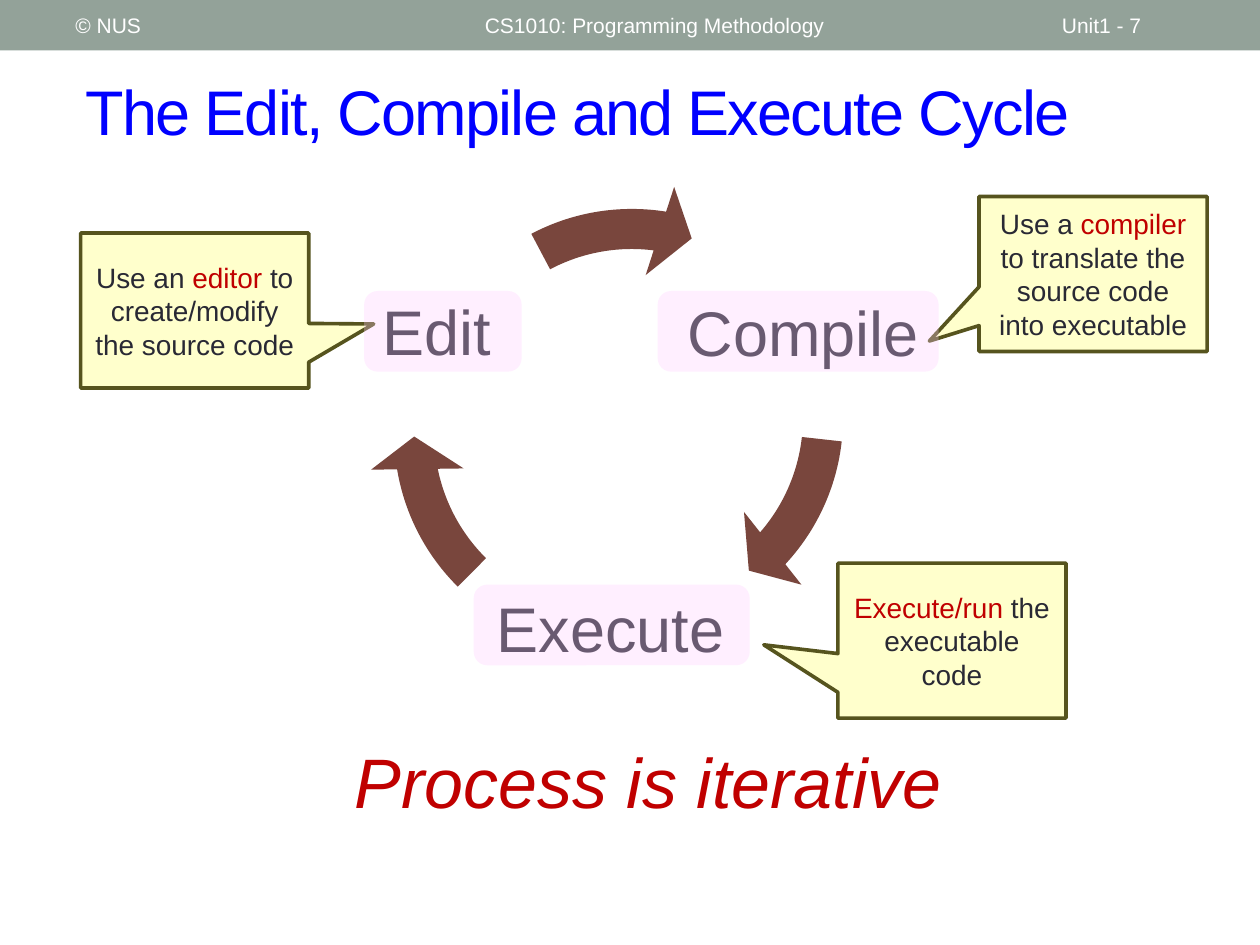
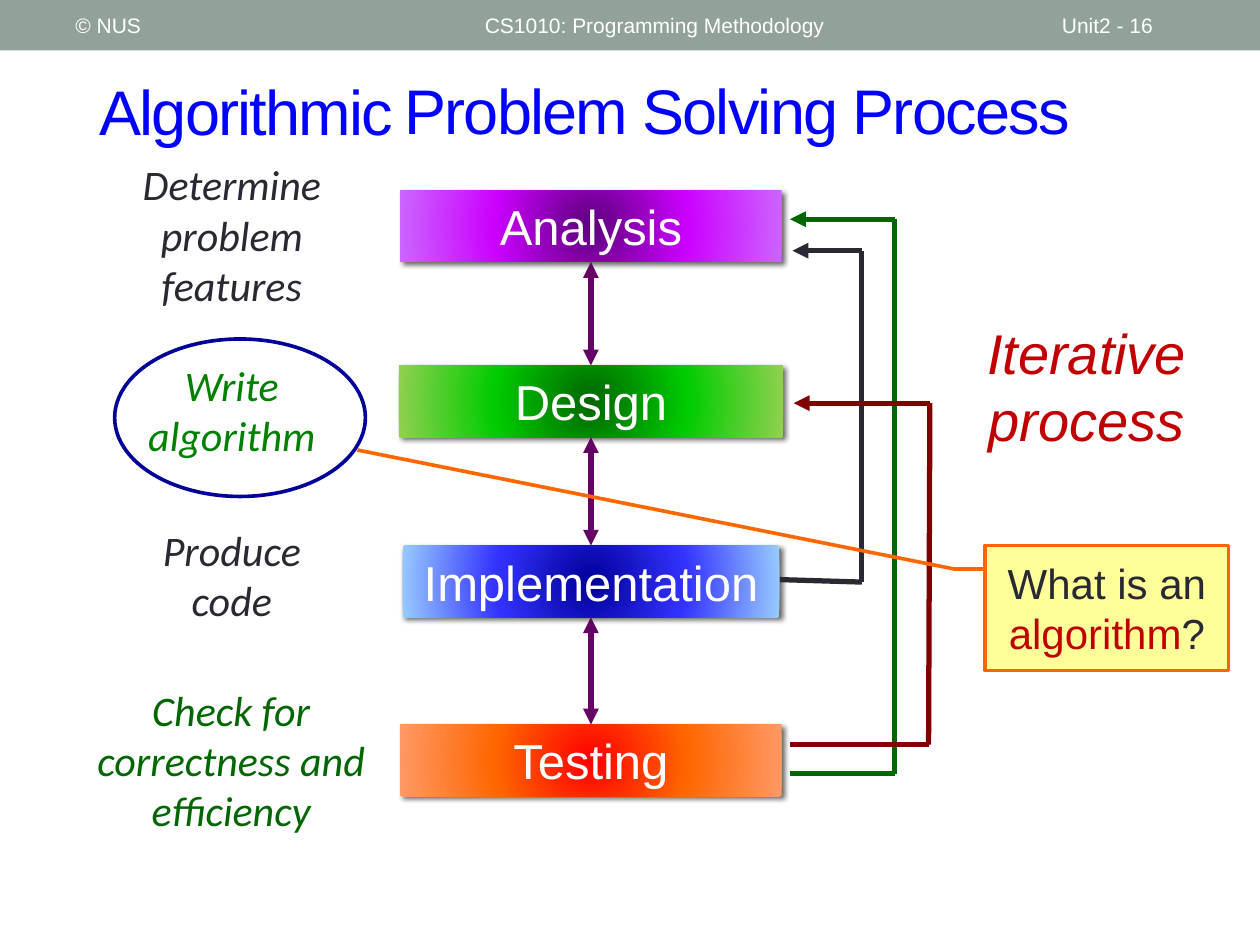
from itertools import pairwise
from lxml import etree
from pptx import Presentation
from pptx import util as u
from pptx.dml.color import RGBColor
from pptx.enum import shapes, text
from pptx.oxml import parse_xml
from pptx.oxml.ns import nsdecls, qn

# Theme: colours, fonts and type sizes
THEME = {
    "band": "93A299", "title": "0000FF", "ink": "292934", "white": "FFFFFF",
    "red": "C00000", "arrow": "79463D", "note": "FFFFCC", "edge": "56541E",
    "tint": "FFCCFF", "link": "660066", "ring": "000099", "leaf": "008000",
    "pine": "006600", "wine": "800000", "ask": "FF6600", "pale": "FFFF99",
    "sans": "Arial", "hand": "Calibri",
    "foot": 12, "small": 16, "mid": 24, "step": 28, "big": 32, "head": 36, "huge": 40,
}
W, H = 10, 7.5
KIND = shapes.MSO_SHAPE
MID, TOP = text.MSO_ANCHOR.MIDDLE, text.MSO_ANCHOR.TOP
LEFT, MIDDLE = text.PP_ALIGN.LEFT, text.PP_ALIGN.CENTER

# Shared band: words and places; the page label differs per slide
BAND = 0.4
COURSE = [("© NUS", 0.5, 3.17), ("CS1010: Programming Methodology", 3.75, 4.5)]
PAGE = (8.33, 1.17)

# Slide 1: stage name, text box, tint box
STAGES = [
    ("Compile", (5.24, 1.86, 2.27, 1.62), (5.22, 2.31, 2.23, 0.64)),
    ("Execute", (3.73, 4.21, 2.23, 1.62), (3.76, 4.64, 2.19, 0.64)),
    ("Edit", (2.66, 1.85, 1.62, 1.62), (2.89, 2.31, 1.25, 0.64)),
]
# Arrow corner, then end and start angles
ARC = 3.83
TURNS = [
    ((3.07, 1.4), 25.254, 3.811),
    ((2.92, 1.53), 101.783, 80.854),
    ((3.1, 1.45), 166.974, 145.285),
]
# Note corner, pointer tip, coloured runs
NOTE = (1.81, 1.23)
NOTES = [
    ((0.64, 1.85), (0.785, 0.087),
     [("Use an ", "ink"), ("editor ", "red"), ("to create/modify the source code", "ink")]),
    ((7.77, 1.56), (-0.718, 0.433),
     [("Use a ", "ink"), ("compiler ", "red"),
      ("to translate the source code into executable", "ink")]),
    ((6.65, 4.47), (-0.825, 0.027),
     [("Execute/run ", "red"), ("the executable code", "ink")]),
]

# Slide 2: step, top, width, gradient from the centre out
AXIS, TALL = 4.69, 0.57
STEPS = [
    ("Analysis", 1.51, 3.03, ("5B0079", "CC00FF", "CC66FF")),
    ("Design", 2.9, 3.05, ("006600", "00CC00", "92D050")),
    ("Implementation", 4.33, 2.99, ("000099", "3333FF", "99CCFF")),
    ("Testing", 5.75, 3.03, ("FF0000", "FF6600", "FF9966")),
]
LOOPS = [
    ("ink", [(6.19, 4.6), (6.84, 4.62), (6.84, 1.99), (6.29, 1.99)]),
    ("pine", [(6.27, 6.14), (7.1, 6.14), (7.1, 1.74), (6.27, 1.74)]),
    ("wine", [(6.27, 5.91), (7.37, 5.91), (7.38, 3.2), (6.3, 3.2)]),
]
TASKS = [
    ("Determine problem features", "ink", (0.63, 1.21, 2.42, 1.31)),
    ("Write algorithm", "leaf", (0.67, 2.8, 2.34, 0.91)),
    ("Produce code", "ink", (0.91, 4.11, 1.86, 0.91)),
    ("Check for correctness and efficiency", "pine", (0.45, 5.38, 2.77, 1.31)),
]


def tone(name):
    return RGBColor.from_string(THEME[name])


def inch(box):
    return [u.Inches(v) for v in box]


def write(shape, runs, size, color="ink", font="sans", align=MIDDLE,
          anchor=MID, slant=False):
    """Put one paragraph in a shape; runs is a string or (words, colour) pairs."""
    frame = shape.text_frame
    frame.word_wrap, frame.vertical_anchor = True, anchor
    para = frame.paragraphs[0]
    para.alignment = align
    para.font.size, para.font.name = u.Pt(THEME[size]), THEME[font]
    if slant:
        para.font.italic = True
    if isinstance(runs, str):
        para.font.color.rgb = tone(color)
        runs = [(runs, None)]
    for words, hue in runs:
        run = para.add_run()
        run.text = words
        if hue:
            run.font.color.rgb = tone(hue)
    return para


def label(slide, box, *args, **opts):
    return write(slide.shapes.add_textbox(*inch(box)), *args, **opts)


def draw(slide, kind, box, fill=None, line=None, adjust=()):
    shape = slide.shapes.add_shape(kind, *inch(box))
    shape.shadow.inherit = False
    if fill:
        shape.fill.solid()
        shape.fill.fore_color.rgb = tone(fill)
    else:
        shape.fill.background()
    if line:
        shape.line.color.rgb = tone(line)
        shape.line.width = u.Pt(2.08)
    else:
        shape.line.fill.background()
    for i, value in enumerate(adjust):
        shape.adjustments[i] = value
    return shape


def join(slide, start, end, color, ends=()):
    """Straight line; ends lists the arrowhead tags, headEnd before tailEnd."""
    line = slide.shapes.add_connector(shapes.MSO_CONNECTOR.STRAIGHT, *inch(start + end))
    line.line.color.rgb = tone(color)
    line.line.width = u.Pt(3)
    for tag in ends:
        etree.SubElement(line.line._get_or_add_ln(), qn(f"a:{tag}"), type="triangle")
    etree.SubElement(line._element.spPr, qn("a:effectLst"))


def glow(shape, hues):
    """Radial gradient and soft drop shadow."""
    stops = "".join(f'<a:gs pos="{i * 50000}"><a:srgbClr val="{hue}"/></a:gs>'
                    for i, hue in enumerate(hues))
    grad = parse_xml(
        f'<a:gradFill {nsdecls("a")}><a:gsLst>{stops}</a:gsLst><a:path path="circle">'
        '<a:fillToRect l="50000" t="50000" r="50000" b="50000"/></a:path></a:gradFill>')
    props = shape._element.spPr
    props.replace(props.find(qn("a:noFill")), grad)
    props.find(qn("a:effectLst")).append(parse_xml(
        f'<a:outerShdw {nsdecls("a")} blurRad="{u.Pt(3)}" dist="{u.Pt(2)}" dir="2700000">'
        '<a:srgbClr val="000000"><a:alpha val="60000"/></a:srgbClr></a:outerShdw>'))


def head(slide, words, box):
    para = label(slide, box, words, "head", "title", align=LEFT)
    para._p.pPr.find(qn("a:defRPr")).set("spc", "-100")


def start(deck, page):
    """New slide with the top band."""
    slide = deck.slides.add_slide(deck.slide_layouts[6])
    draw(slide, KIND.RECTANGLE, (0, 0, W, BAND), "band")
    for words, left, wide in COURSE + [(page, *PAGE)]:
        label(slide, (left, 0.02, wide, 0.36), words, "foot", "white", align=LEFT)
    return slide


def cycle(deck):
    slide = start(deck, "Unit1 - 7")
    head(slide, "The Edit, Compile and Execute Cycle", (0.58, 0.5, 8.92, 0.75))
    # Stage names and turning arrows
    for (name, box, _), (spot, end, begin) in zip(STAGES, TURNS):
        label(slide, box, name, "head").line_spacing = 0.9
        draw(slide, KIND.CIRCULAR_ARROW, (*spot, ARC, ARC), "arrow",
             adjust=(0.083, 5.765, end, begin, 0.096))
    label(slide, (2.52, 5.81, 5.25, 0.77), "Process is iterative", "huge", "red",
          anchor=TOP, slant=True)
    # Notes
    for spot, tip, runs in NOTES:
        note = draw(slide, KIND.RECTANGULAR_CALLOUT, (*spot, *NOTE), "note", "edge", tip)
        write(note, runs, "small")
    # Sheer tints over the names
    for _, _, box in STAGES:
        tint = draw(slide, KIND.ROUNDED_RECTANGLE, box, "tint")
        hue = tint._element.spPr.find(qn("a:solidFill"))[0]
        etree.SubElement(hue, qn("a:alpha"), val="30000")


def process(deck):
    slide = start(deck, "Unit2 - 16")
    head(slide, "Problem Solving Process", (3.11, 0.49, 6.12, 0.75))
    head(slide, "Algorithmic", (0.69, 0.5, 3.26, 0.75))
    # Steps and the links between them
    for name, top, wide, hues in STEPS:
        step = draw(slide, KIND.RECTANGLE, (AXIS - wide / 2, top, wide, TALL))
        glow(step, hues)
        write(step, name, "step", "white")
    for (_, top, *_), (_, below, *_) in pairwise(STEPS):
        join(slide, (AXIS, top + TALL), (AXIS, below), "link", ("headEnd", "tailEnd"))
    # Loops back to earlier steps
    for color, points in LOOPS:
        for a, b in pairwise(points):
            join(slide, a, b, color, ("tailEnd",) if b == points[-1] else ())
    label(slide, (7.5, 2.48, 2.25, 1.18), "Iterative process", "big", "red",
          anchor=TOP, slant=True)
    # Tasks, ring and question
    for words, color, box in TASKS:
        label(slide, box, words, "mid", color, "hand", anchor=TOP, slant=True)
    draw(slide, KIND.OVAL, (0.91, 2.69, 1.99, 1.25), line="ring")
    ask = draw(slide, KIND.LINE_CALLOUT_2, (7.82, 4.33, 1.93, 0.99), "pale", "ask",
               (0.188, 0.002, 0.188, -0.128, -0.766, -2.582))
    write(ask, [("What is an ", "ink"), ("algorithm", "red"), ("?", "ink")], "mid")


def main():
    deck = Presentation()
    deck.slide_width, deck.slide_height = inch((W, H))
    cycle(deck)
    process(deck)
    deck.save("out.pptx")


if __name__ == "__main__":
    main()
